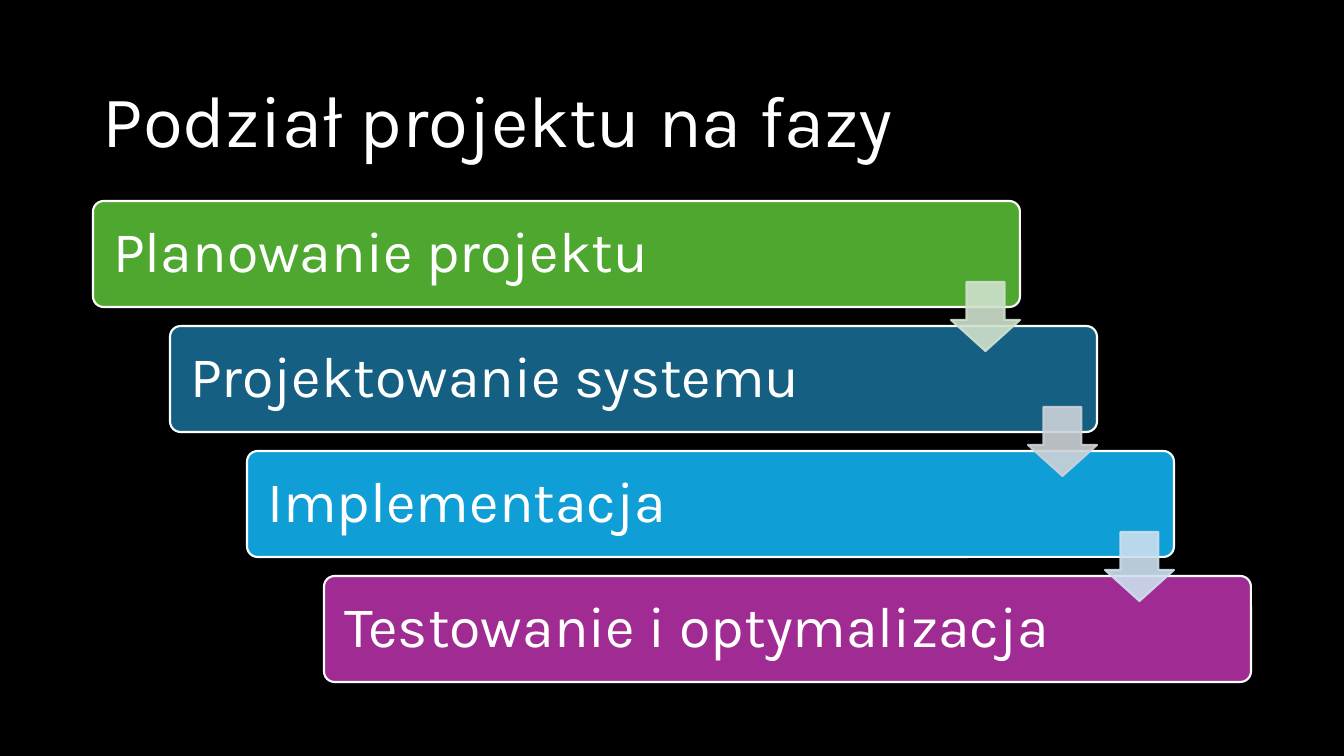
from pptx import Presentation
from pptx.dml.color import RGBColor as RGB
from pptx.enum.shapes import MSO_SHAPE as SHAPE
from pptx.enum.text import MSO_ANCHOR as ANCHOR, PP_ALIGN as ALIGN
from pptx.oxml.ns import qn
from pptx.util import Emu, Pt
from lxml import etree

TITLE = "Podział projektu na fazy"
BLACK = RGB(0x00, 0x00, 0x00)
WHITE = RGB(0xFF, 0xFF, 0xFF)
GREEN = RGB(0x4E, 0xA7, 0x2E)
NAVY = RGB(0x15, 0x60, 0x82)
BLUE = RGB(0x0F, 0x9E, 0xD5)
PURPLE = RGB(0xA0, 0x2B, 0x93)
PALE_GREEN = RGB(0xD0, 0xE1, 0xCD)
PALE_NAVY = RGB(0xCC, 0xD2, 0xD8)
PALE_BLUE = RGB(0xCC, 0xDF, 0xEF)

PHASES = [
    ("Planowanie projektu", GREEN),
    ("Projektowanie systemu", NAVY),
    ("Implementacja", BLUE),
    ("Testowanie i optymalizacja", PURPLE),
]
ARROWS = [PALE_GREEN, PALE_NAVY, PALE_BLUE]

FONT = "Karla"
SLIDE_W, SLIDE_H = 1344, 756
TITLE_BOX = (93, 61, 1159, 125)
BAR_X, BAR_Y, BAR_W, BAR_H = 93, 201, 927, 106
STEP_X, STEP_Y = 77, 125
BAR_INSET = 17
ARROW = 69
ARROW_DROP = 81
ARROW_ALPHA = 90


def px(n):
    return Emu(round(n * 914400 / 100.8))


def write(sp, text, size):
    tf = sp.text_frame
    tf.word_wrap = True
    tf.vertical_anchor = ANCHOR.MIDDLE
    tf.text = text
    p = tf.paragraphs[0]
    p.alignment = ALIGN.LEFT
    p.line_spacing = 0.9
    font = p.runs[0].font
    font.name = FONT
    font.size = Pt(size)
    font.color.rgb = WHITE


def add_box(slide, kind, box, adjustments, fill, line):
    sp = slide.shapes.add_shape(kind, *map(px, box))
    for i, value in enumerate(adjustments):
        sp.adjustments[i] = value
    sp.shadow.inherit = False
    sp.fill.solid()
    sp.fill.fore_color.rgb = fill
    sp.line.color.rgb = line
    sp.line.width = Pt(1.5)
    return sp


def set_alpha(sp, percent):
    for color in sp.element.spPr.iter(qn("a:srgbClr")):
        etree.SubElement(color, qn("a:alpha")).set("val", str(percent * 1000))


def add_phase(slide, i, text, color):
    box = (BAR_X + i * STEP_X, BAR_Y + i * STEP_Y, BAR_W, BAR_H)
    sp = add_box(slide, SHAPE.ROUNDED_RECTANGLE, box, [0.1], color, WHITE)
    tf = sp.text_frame
    tf.margin_left = tf.margin_right = px(BAR_INSET)
    tf.margin_top = tf.margin_bottom = px(BAR_INSET)
    write(sp, text, 41)


def add_arrow(slide, i, color):
    x = BAR_X + BAR_W - ARROW + i * STEP_X
    y = BAR_Y + ARROW_DROP + i * STEP_Y
    box = (x, y, ARROW, ARROW)
    sp = add_box(slide, SHAPE.DOWN_ARROW, box, [0.55, 0.45], color, color)
    set_alpha(sp, ARROW_ALPHA)


def main():
    prs = Presentation()
    prs.slide_width, prs.slide_height = px(SLIDE_W), px(SLIDE_H)
    slide = prs.slides.add_slide(prs.slide_layouts[6])
    slide.background.fill.solid()
    slide.background.fill.fore_color.rgb = BLACK

    write(slide.shapes.add_textbox(*map(px, TITLE_BOX)), TITLE, 52)
    for i, (text, color) in enumerate(PHASES):
        add_phase(slide, i, text, color)
    for i, color in enumerate(ARROWS):
        add_arrow(slide, i, color)

    prs.save("out.pptx")


if __name__ == "__main__":
    main()
